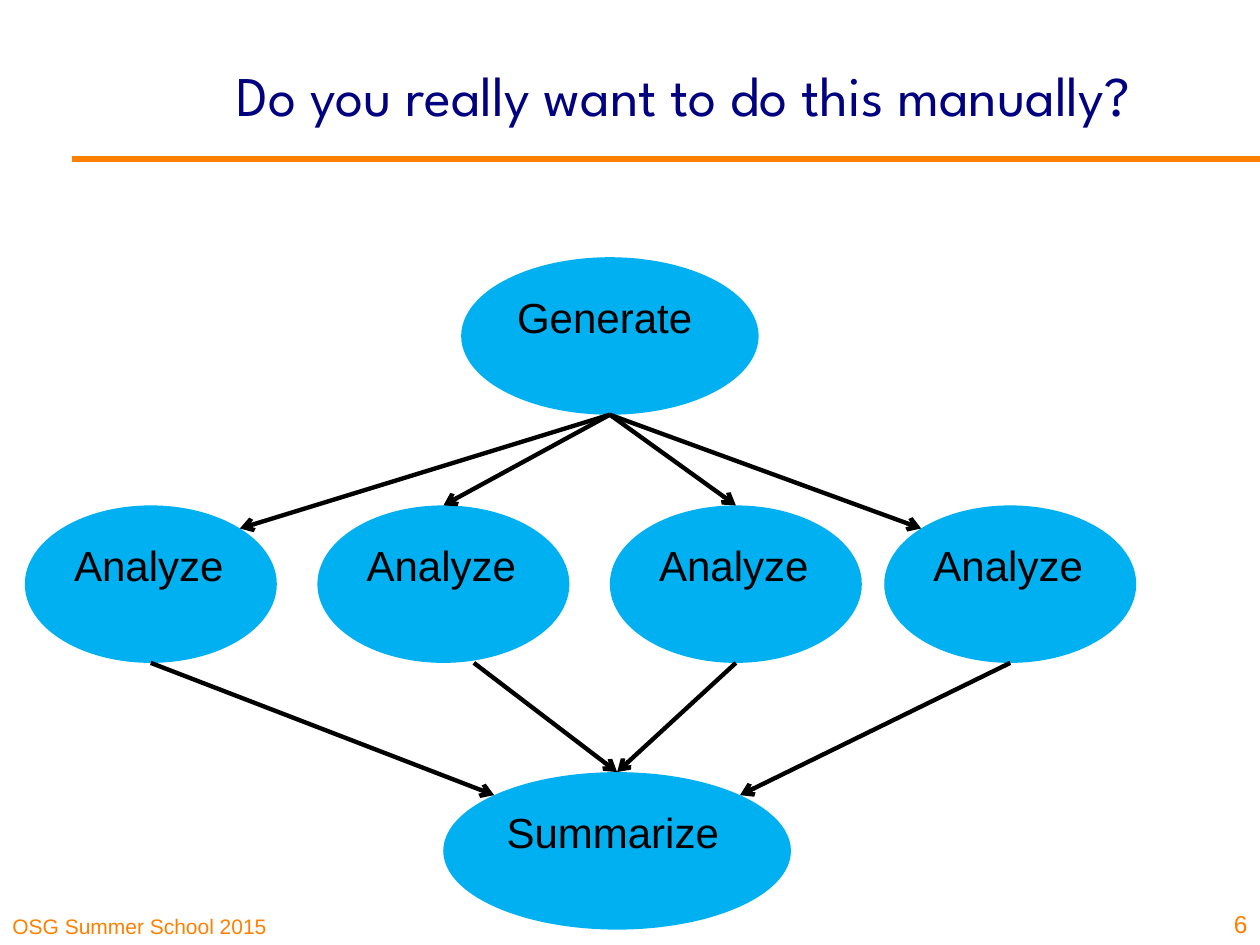
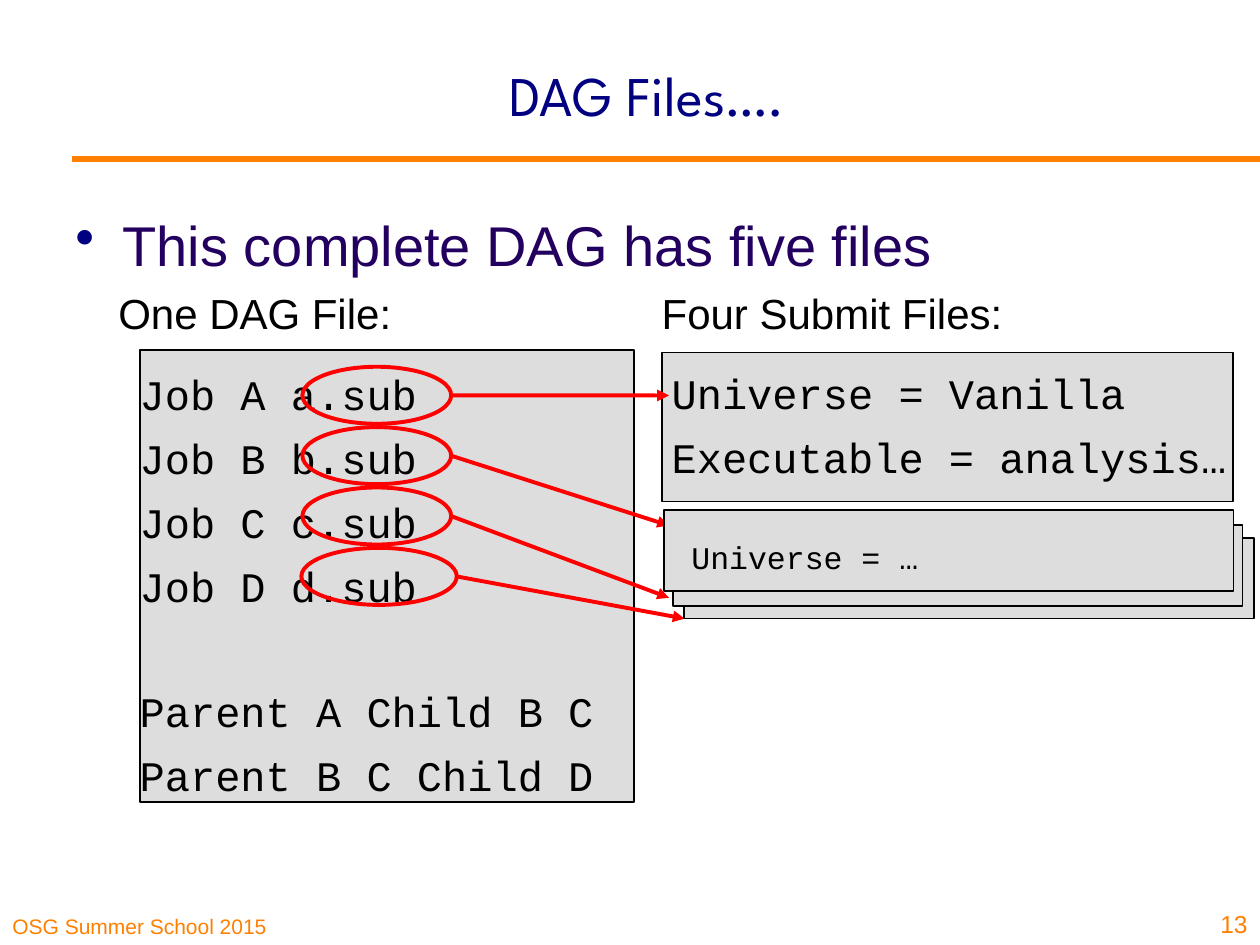
from math import cos, radians, sin

from lxml import etree
from pptx import Presentation
from pptx.dml.color import RGBColor
from pptx.enum.shapes import MSO_CONNECTOR as Connector, MSO_SHAPE as Preset
from pptx.enum.text import MSO_ANCHOR as Anchor, PP_ALIGN as Align
from pptx.oxml.ns import qn
from pptx.util import Pt

COLORS = {
    "accent": "FF8000",
    "title": "000080",
    "bullet": "23005F",
    "node": "00B0F0",
    "file": "DDDDDD",
    "ring": "FF0000",
    "ink": "000000",
}
BODY, CODE, HEADING = "Arial", "Courier New", "League Spartan"
CODE_GAP = 7.7
CODE_PITCH = 34.9


def color(name):
    return RGBColor.from_string(COLORS[name])


def write(frame, lines, size, font=BODY, ink="ink", align=Align.LEFT,
          anchor=Anchor.TOP, gaps=None):
    """Fill a text frame; gaps maps a line number to its space before."""
    frame.word_wrap = True
    frame.vertical_anchor = anchor
    for number, line in enumerate(lines):
        para = frame.paragraphs[0] if number == 0 else frame.add_paragraph()
        para.text = line
        para.alignment = align
        if number:
            para.space_before = Pt((gaps or {}).get(number, CODE_GAP))
        para.font.size = Pt(size)
        para.font.name = font
        para.font.color.rgb = color(ink)


def add_text(slide, box, lines, size, **style):
    frame = slide.shapes.add_textbox(*map(Pt, box)).text_frame
    write(frame, lines, size, **style)
    return frame


def add_preset(slide, preset, box, fill=None, line=None, width=1):
    shape = slide.shapes.add_shape(preset, *map(Pt, box))
    shape.shadow.inherit = False
    if fill:
        shape.fill.solid()
        shape.fill.fore_color.rgb = color(fill)
    else:
        shape.fill.background()
    if line:
        shape.line.color.rgb = color(line)
        shape.line.width = Pt(width)
    else:
        shape.line.fill.background()
    return shape


def add_line(slide, start, end, ink, width, head=None):
    line = slide.shapes.add_connector(Connector.STRAIGHT, *map(Pt, (*start, *end)))
    line.line.color.rgb = color(ink)
    line.line.width = Pt(width)
    if head:
        etree.SubElement(line.line._get_or_add_ln(), qn("a:tailEnd"), type=head)
    etree.SubElement(line._element.spPr, qn("a:effectLst"))


def add_bullet(slide, box, text):
    frame = add_text(slide, box, [text], 32, ink="bullet")
    props = frame.paragraphs[0]._p.get_or_add_pPr()
    props.set("marL", str(Pt(27)))
    props.set("indent", str(-Pt(27)))
    bullet_color = etree.Element(qn("a:buClr"))
    etree.SubElement(bullet_color, qn("a:srgbClr"), val=COLORS["title"])
    bullet = etree.Element(qn("a:buChar"), char="•")
    # Bullet settings come before the paragraph's default font
    props.insert(0, bullet_color)
    props.insert(1, bullet)


def add_base(deck, title, title_width, number):
    """Start a slide with the title, rule, footer and page number."""
    slide = deck.slides.add_slide(deck.slide_layouts[6])
    add_text(slide, (0, 509.8, 178.6, 30.2), ["OSG Summer School 2015"], 12,
             ink="accent", anchor=Anchor.BOTTOM)
    add_line(slide, (41, 90.9), (720, 90.9), "accent", 3)
    add_text(slide, (96.5, 8.6, title_width, 90), [title], 32, font=HEADING,
             ink="title", align=Align.CENTER, anchor=Anchor.MIDDLE)
    add_text(slide, (686.9, 504, 33.1, 36), [str(number)], 14,
             ink="accent", align=Align.RIGHT, anchor=Anchor.BOTTOM)
    return slide


def add_node(slide, box, label):
    node = add_preset(slide, Preset.OVAL, box, "node")
    node.text_frame.margin_top = Pt(6.5)
    write(node.text_frame, [label], 24)


def rim(box, degrees):
    """Point on an ellipse, clockwise from its right end."""
    left, top, width, height = box
    angle = radians(degrees)
    return left + width / 2 * (1 + cos(angle)), top + height / 2 * (1 + sin(angle))


def build_workflow(deck):
    slide = add_base(deck, "Do you really want to do this manually?", 589, 6)
    generate = (263.5, 147, 170, 90)
    analyses = [(left, 288.8, 144, 90) for left in (14.2, 181.4, 348.5, 505.3)]
    summarize = (253.3, 441.2, 198.7, 90)

    add_node(slide, generate, "Generate")
    for analysis in analyses:
        add_node(slide, analysis, "Analyze")
    add_node(slide, summarize, "Summarize")

    # Outer analyses join on the diagonal, inner ones at the top
    top_angles = (-45, -90, -90, -135)
    exits = [rim(analysis, 90) for analysis in analyses]
    exits[1] = (270.8, 378.8)
    for analysis, angle, exit_point, entry_angle in zip(
            analyses, top_angles, exits, (-135, -90, -90, -45)):
        add_line(slide, rim(generate, 90), rim(analysis, angle), "ink", 2.5, "arrow")
        add_line(slide, exit_point, rim(summarize, entry_angle), "ink", 2.5, "arrow")


def build_dag_files(deck):
    slide = add_base(deck, "DAG Files….", 547, 13)
    add_bullet(slide, (36, 116.8, 648, 49), "This complete DAG has five files")

    # File panels and their headings
    add_preset(slide, Preset.RECTANGLE, (378.4, 201.4, 326.3, 85.2), "file", "ink")
    add_preset(slide, Preset.RECTANGLE, (79.9, 200.2, 282.5, 258.3), "file", "ink")
    for left, heading in ((60.5, "One DAG File:"), (371, "Four Submit Files:")):
        add_text(slide, (left, 160.7, 220, 36), [heading], 24)

    # DAG file, with one line's gap between jobs and dependencies
    jobs = [f"Job {name} {name.lower()}.sub" for name in "ABCD"]
    dependencies = ["Parent A Child B C", "Parent B C Child D"]
    add_text(slide, (72.7, 207.3, 290, 240), jobs + dependencies, 24, font=CODE,
             gaps={len(jobs): CODE_GAP + CODE_PITCH})
    add_text(slide, (376.7, 206.6, 336, 72),
             ["Universe = Vanilla", "Executable = analysis…"], 24, font=CODE)

    # Ring around each submit file name, with an arrow to the file
    rings = [(172.8, 85)] * 3 + [(172.2, 88.8)]
    targets = [(382.3, 226), (382.3, 300.3), (382.3, 341.6), (391.2, 353.5)]
    for row, ((left, width), target) in enumerate(zip(rings, targets)):
        ring = (left, 209.6 + 34.5 * row, width, 32.6)
        add_preset(slide, Preset.OVAL, ring, line="ring", width=2.25)
        add_line(slide, rim(ring, 0), target, "ring", 2.25, "triangle")

    # Stack of the other submit files, back to front
    for left, top in ((391, 307.4), (384.5, 300.2), (379.3, 291.6)):
        add_preset(slide, Preset.RECTANGLE, (left, top, 325.6, 46), "file", "ink")
    add_text(slide, (388, 304, 160, 29), ["Universe = …"], 18, font=CODE)


def main():
    deck = Presentation()
    deck.slide_width, deck.slide_height = Pt(720), Pt(540)
    build_workflow(deck)
    build_dag_files(deck)
    deck.save("out.pptx")


if __name__ == "__main__":
    main()
